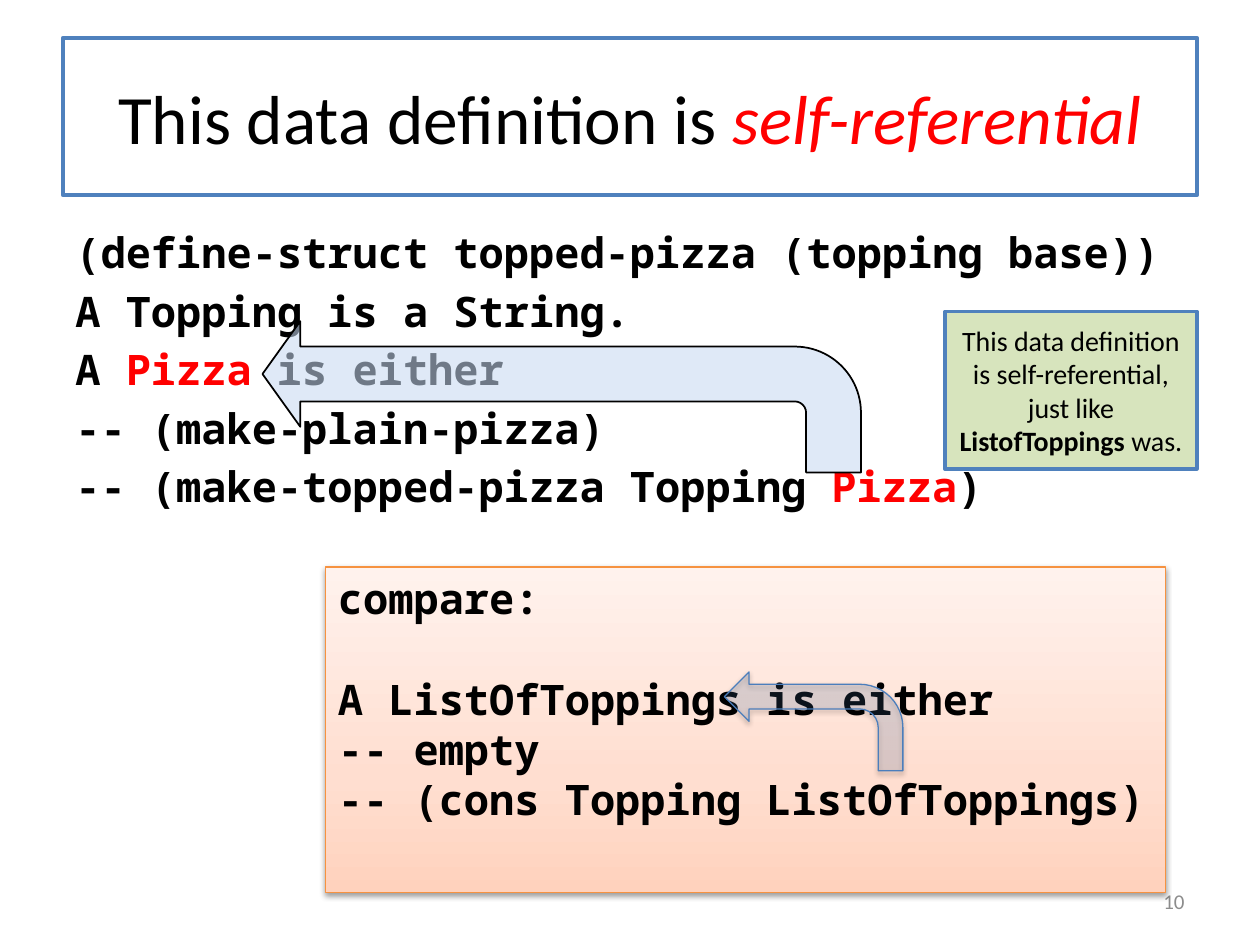
from lxml.etree import SubElement
from pptx import Presentation
from pptx.dml.color import RGBColor
from pptx.enum.shapes import MSO_SHAPE
from pptx.enum.text import MSO_ANCHOR, PP_ALIGN
from pptx.oxml.ns import qn
from pptx.util import Pt

BLACK = RGBColor(0x00, 0x00, 0x00)
WHITE = RGBColor(0xFF, 0xFF, 0xFF)
RED = RGBColor(0xFF, 0x00, 0x00)
GRAY = RGBColor(0x8C, 0x8C, 0x8C)
BLUE = RGBColor(0x4F, 0x81, 0xBD)
DARK_BLUE = RGBColor(0x4B, 0x7E, 0xBC)
PALE_BLUE = RGBColor(0xC6, 0xD9, 0xF1)
GREEN = RGBColor(0xD7, 0xE4, 0xBD)
ORANGE = RGBColor(0xF6, 0x92, 0x40)
PEACH_STOPS = [
    (0, RGBColor(0xFF, 0xD2, 0xBD)),
    (35, RGBColor(0xFF, 0xDE, 0xD0)),
    (100, RGBColor(0xFF, 0xF2, 0xED)),
]
SANS, MONO = "Calibri", "Noto Sans Mono"
CODE_SIZE, CODE_LINE = 24, 28.7

PLAIN, HOT, HOT_ITALIC, BOLD = {}, {"color": RED}, {"color": RED, "italic": True}, {"bold": True}

TITLE = [[("This data definition is ", PLAIN), ("self-referential", HOT_ITALIC)]]
DEFINITION = [
    [("(define-struct topped-pizza (topping base))", PLAIN)],
    [("A Topping is a String.", PLAIN)],
    [("A ", PLAIN), ("Pizza", HOT), (" is either", PLAIN)],
    [("-- (make-plain-pizza)", PLAIN)],
    [("-- (make-topped-pizza Topping ", PLAIN), ("Pizza", HOT), (")", PLAIN)],
]
COMPARISON = [
    [("compare:", PLAIN)],
    [("A ListOfToppings is either", PLAIN)],
    [("-- empty", PLAIN)],
    [("-- (cons Topping ListOfToppings)", PLAIN)],
]
REMARK = [[
    ("This data definition is self-referential, just like ", PLAIN),
    ("ListofToppings", BOLD),
    (" was.", PLAIN),
]]
PAGE = [[("10", PLAIN)]]


def write(shape, paragraphs, font, size, color=BLACK, bold=False,
          align=PP_ALIGN.LEFT, anchor=MSO_ANCHOR.MIDDLE):
    frame = shape.text_frame
    frame.word_wrap = True
    frame.vertical_anchor = anchor
    for index, pieces in enumerate(paragraphs):
        paragraph = frame.add_paragraph() if index else frame.paragraphs[0]
        paragraph.alignment = align
        for text, look in pieces:
            run = paragraph.add_run()
            run.text = text
            run.font.name = font
            run.font.size = Pt(size)
            run.font.bold = look.get("bold", bold)
            run.font.italic = look.get("italic", False)
            run.font.color.rgb = look.get("color", color)
    return frame.paragraphs


def write_code(shape, paragraphs, gaps):
    lines = write(shape, paragraphs, MONO, CODE_SIZE, bold=True, anchor=MSO_ANCHOR.TOP)
    for line, gap in zip(lines, gaps):
        line.line_spacing = Pt(CODE_LINE)
        line.space_before = Pt(gap)


def add_box(preset, place, fill, line, width):
    box = slide.shapes.add_shape(preset, *map(Pt, place))
    box.shadow.inherit = False
    box.fill.solid()
    box.fill.fore_color.rgb = fill
    box.line.color.rgb = line
    box.line.width = Pt(width)
    return box


def add_text(place):
    return slide.shapes.add_textbox(*map(Pt, place))


def add_bent_arrow(place, adjustments, fill, opacity, line, width):
    arrow = add_box(MSO_SHAPE.BENT_ARROW, place, fill, line, width)
    for index, value in enumerate(adjustments):
        arrow.adjustments[index] = value
    properties = arrow._element.spPr
    properties.find(qn("a:xfrm")).set("flipH", "1")
    color = properties.find(qn("a:solidFill"))[0]
    SubElement(color, qn("a:alpha"), val=str(opacity * 1000))
    return arrow


def drop_shadow(shape):
    effects = shape._element.spPr.find(qn("a:effectLst"))
    shadow = SubElement(effects, qn("a:outerShdw"), blurRad=str(Pt(3.1)),
                        dist=str(Pt(1.6)), dir="5400000", rotWithShape="0")
    color = SubElement(shadow, qn("a:srgbClr"), val=str(BLACK))
    SubElement(color, qn("a:alpha"), val="38000")


def fill_gradient(shape, stops):
    shape.fill.gradient()
    shape.fill.gradient_angle = 90
    stop_list = shape._element.spPr.find(qn("a:gradFill")).find(qn("a:gsLst"))
    for stop in list(stop_list):
        stop_list.remove(stop)
    for position, color in stops:
        stop = SubElement(stop_list, qn("a:gs"), pos=str(position * 1000))
        SubElement(stop, qn("a:srgbClr"), val=str(color))


presentation = Presentation()
presentation.slide_width, presentation.slide_height = Pt(720), Pt(540)
slide = presentation.slides.add_slide(presentation.slide_layouts[6])

title = add_box(MSO_SHAPE.RECTANGLE, (36, 21.6, 648, 90), WHITE, BLUE, 2.25)
write(title, TITLE, SANS, 39.6, align=PP_ALIGN.CENTER)

definition = add_text((36, 126, 648, 356.4))
write_code(definition, DEFINITION, [0] + [CODE_SIZE * 0.2] * 4)

page = add_text((516, 500.4, 168, 28.8))
write(page, PAGE, SANS, 12, GRAY, align=PP_ALIGN.RIGHT)

add_bent_arrow((150, 183.6, 342, 86.4), (0.363, 0.349, 0.25, 0.438), PALE_BLUE, 56, BLACK, 1)

comparison = add_box(MSO_SHAPE.RECTANGLE, (186, 324, 480, 186), WHITE, ORANGE, 0.75)
fill_gradient(comparison, PEACH_STOPS)
drop_shadow(comparison)
write_code(comparison, COMPARISON, [0, CODE_LINE, 0, 0])

comparison_arrow = add_bent_arrow((414, 384, 102, 56.4), (0.25, 0.25, 0.25, 0.438),
                                  BLUE, 15, DARK_BLUE, 0.75)
drop_shadow(comparison_arrow)

remark = add_box(MSO_SHAPE.RECTANGLE, (540, 178, 144, 90), GREEN, BLUE, 2)
write(remark, REMARK, SANS, 16, align=PP_ALIGN.CENTER)

presentation.save("out.pptx")
